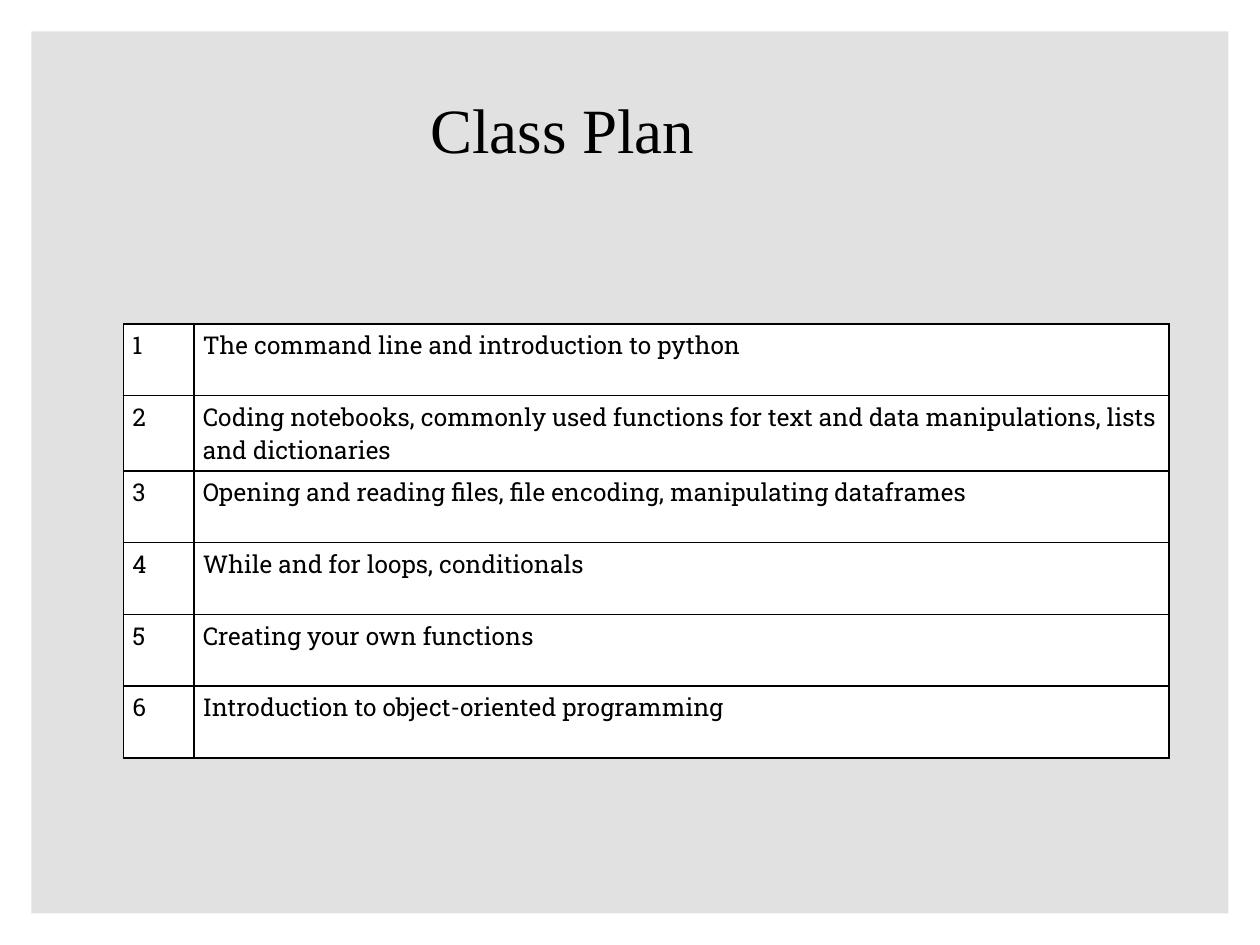
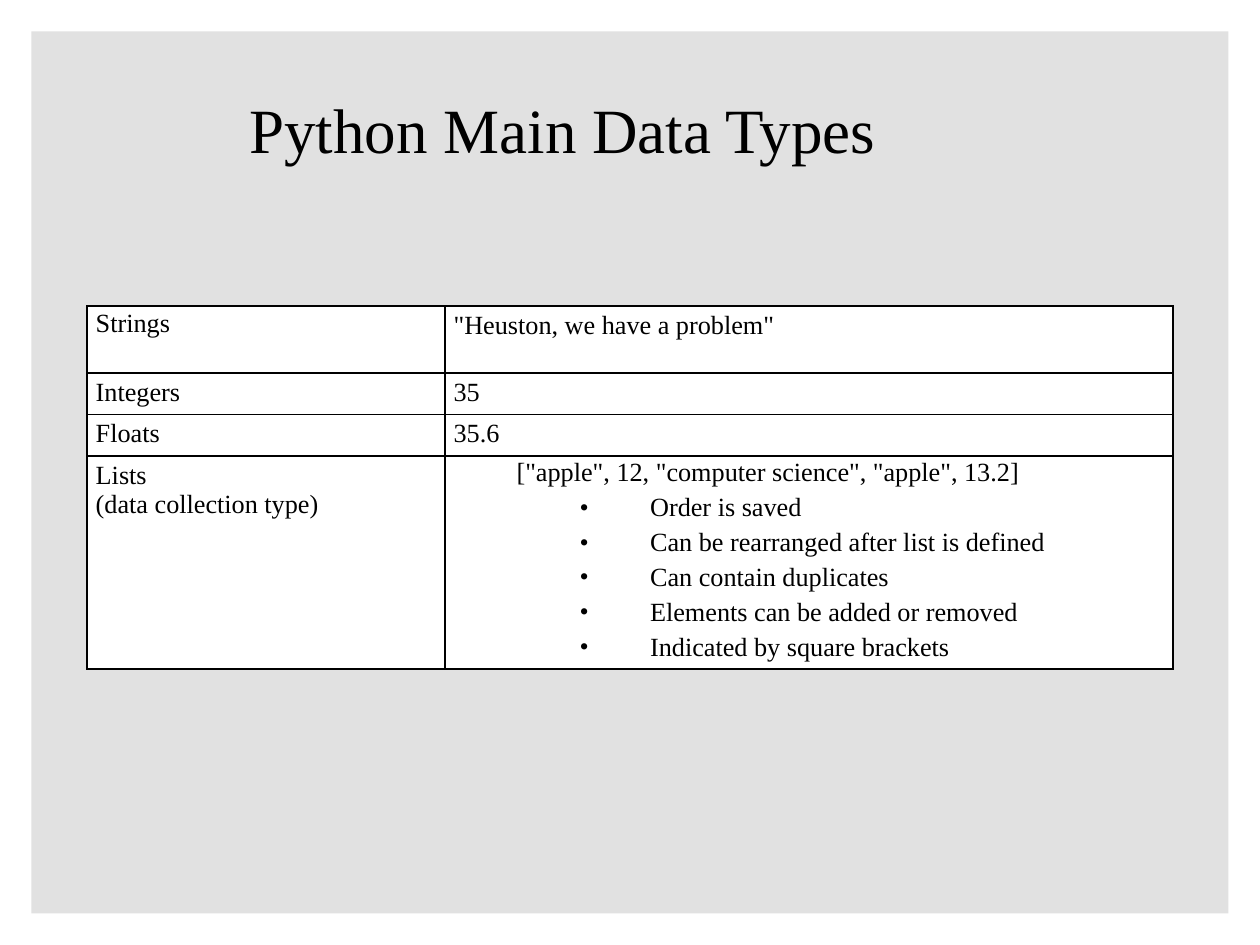
from lxml.etree import SubElement
from pptx import Presentation
from pptx.dml.color import RGBColor
from pptx.enum.shapes import MSO_SHAPE
from pptx.enum.text import MSO_ANCHOR, PP_ALIGN
from pptx.oxml import parse_xml
from pptx.oxml.ns import nsdecls, qn
from pptx.util import Inches, Pt

BLACK = RGBColor(0x00, 0x00, 0x00)
WHITE = RGBColor(0xFF, 0xFF, 0xFF)
PANEL_GREY = RGBColor(0xE1, 0xE1, 0xE1)
SERIF = "Times New Roman"
SLAB = "Roboto Slab"
TITLE_ONLY = 5

CLASS_TOPICS = [
    "The command line and introduction to python",
    "Coding notebooks, commonly used functions for text and data manipulations, "
    "lists and dictionaries",
    "Opening and reading files, file encoding, manipulating dataframes",
    "While and for loops, conditionals",
    "Creating your own functions",
    "Introduction to object-oriented programming",
]
LIST_TRAITS = [
    "Order is saved",
    "Can be rearranged after list is defined",
    "Can contain duplicates",
    "Elements can be added or removed",
    "Indicated by square brackets",
]

PLAIN, LEAD, EXAMPLE, BULLET = "plain", "lead", "example", "bullet"
PARAGRAPH_STYLES = {
    PLAIN: {},
    LEAD: {"line_spacing": 0.9, "space_before": Pt(10)},
    EXAMPLE: {"level": 1, "line_spacing": 0.9, "space_before": Pt(5)},
    BULLET: {"level": 2, "line_spacing": 0.9, "space_before": Pt(5)},
}
INDENTS = {EXAMPLE: (0.5, 0), BULLET: (1.56, -0.56)}

SLIDES = [
    {
        "title": "Class Plan",
        "position": (0.98, 2.57),
        "columns": [0.56, 7.74],
        "heights": [0.57] * len(CLASS_TOPICS),
        "font": {"name": SLAB, "size": Pt(14)},
        "rows": [
            ([(str(number), PLAIN)], [(topic, PLAIN)])
            for number, topic in enumerate(CLASS_TOPICS, start=1)
        ],
    },
    {
        "title": "Python Main Data Types",
        "position": (0.69, 2.43),
        "columns": [2.84, 5.78],
        "heights": [0.53, 0.33, 0.33, 1.69],
        "font": {"name": SERIF, "size": Pt(15)},
        "rows": [
            ([("Strings", LEAD)], [('"Heuston, we have a problem"', PLAIN)]),
            ([("Integers", PLAIN)], [("35", PLAIN)]),
            ([("Floats", PLAIN)], [("35.6", PLAIN)]),
            (
                [("Lists", PLAIN), ("(data collection type)", PLAIN)],
                [('["apple", 12, "computer science", "apple", 13.2]', EXAMPLE)]
                + [(trait, BULLET) for trait in LIST_TRAITS],
            ),
        ],
    },
]

TITLE_BOX = {
    "left": Inches(0.51),
    "top": Inches(0.48),
    "width": Inches(7.91),
    "height": Inches(1.07),
}
TITLE_FONT = {"name": SERIF, "size": Pt(36)}
CELL_FORMAT = {
    "margin_left": Inches(0.07),
    "margin_right": Inches(0.07),
    "margin_top": Inches(0.04),
    "margin_bottom": Inches(0.04),
    "vertical_anchor": MSO_ANCHOR.TOP,
}


def set_attributes(target, values):
    for name, value in values.items():
        setattr(target, name, value)


def format_font(font, values):
    set_attributes(font, values)
    font.color.rgb = BLACK


def add_layout_panel(slide):
    panel = slide.shapes.add_shape(
        MSO_SHAPE.RECTANGLE, Inches(0.25), Inches(0.25), Inches(9.5), Inches(7)
    )
    panel.shadow.inherit = False
    panel.fill.solid()
    panel.fill.fore_color.rgb = PANEL_GREY
    panel.line.fill.background()
    slide.slide_layout.shapes.element.insert(2, panel.element)


def add_title(slide, text):
    title = slide.shapes.title
    set_attributes(title, TITLE_BOX)
    title.text_frame.vertical_anchor = MSO_ANCHOR.MIDDLE
    paragraph = title.text_frame.paragraphs[0]
    paragraph.alignment = PP_ALIGN.CENTER
    run = paragraph.add_run()
    run.text = text
    format_font(run.font, TITLE_FONT)


def add_borders(cell):
    properties = cell._tc.get_or_add_tcPr()
    for index, side in enumerate(["lnL", "lnR", "lnT", "lnB"]):
        border = parse_xml(
            f'<a:{side} {nsdecls("a")} w="{Pt(1)}"><a:solidFill>'
            f'<a:srgbClr val="{BLACK}"/></a:solidFill></a:{side}>'
        )
        properties.insert(index, border)


def indent_paragraph(paragraph, style):
    margin, indent = INDENTS[style]
    properties = paragraph._p.get_or_add_pPr()
    properties.set("marL", str(Inches(margin)))
    properties.set("indent", str(Inches(indent)))
    if style == BULLET:
        SubElement(properties, qn("a:buFont")).set("typeface", SERIF)
        SubElement(properties, qn("a:buChar")).set("char", "•")


def fill_cell(cell, lines, font):
    set_attributes(cell, CELL_FORMAT)
    cell.fill.solid()
    cell.fill.fore_color.rgb = WHITE
    add_borders(cell)
    frame = cell.text_frame
    for index, (text, style) in enumerate(lines):
        paragraph = frame.add_paragraph() if index else frame.paragraphs[0]
        set_attributes(paragraph, PARAGRAPH_STYLES[style])
        if style in INDENTS:
            indent_paragraph(paragraph, style)
        run = paragraph.add_run()
        run.text = text
        format_font(run.font, font)


def add_content_table(slide, content):
    columns, heights = content["columns"], content["heights"]
    left, top = content["position"]
    table = slide.shapes.add_table(
        len(heights), len(columns), Inches(left), Inches(top),
        Inches(sum(columns)), Inches(sum(heights)),
    ).table
    set_attributes(table, {"first_row": False, "horz_banding": False})
    for column, width in zip(table.columns, columns):
        column.width = Inches(width)
    for row, height, cells in zip(table.rows, heights, content["rows"]):
        row.height = Inches(height)
        for cell, lines in zip(row.cells, cells):
            fill_cell(cell, lines, content["font"])


def main():
    presentation = Presentation()
    presentation.slide_width = Inches(10)
    presentation.slide_height = Inches(7.5)
    layout = presentation.slide_layouts[TITLE_ONLY]
    for content in SLIDES:
        slide = presentation.slides.add_slide(layout)
        add_title(slide, content["title"])
        add_content_table(slide, content)
    add_layout_panel(presentation.slides[0])
    presentation.save("out.pptx")


if __name__ == "__main__":
    main()
